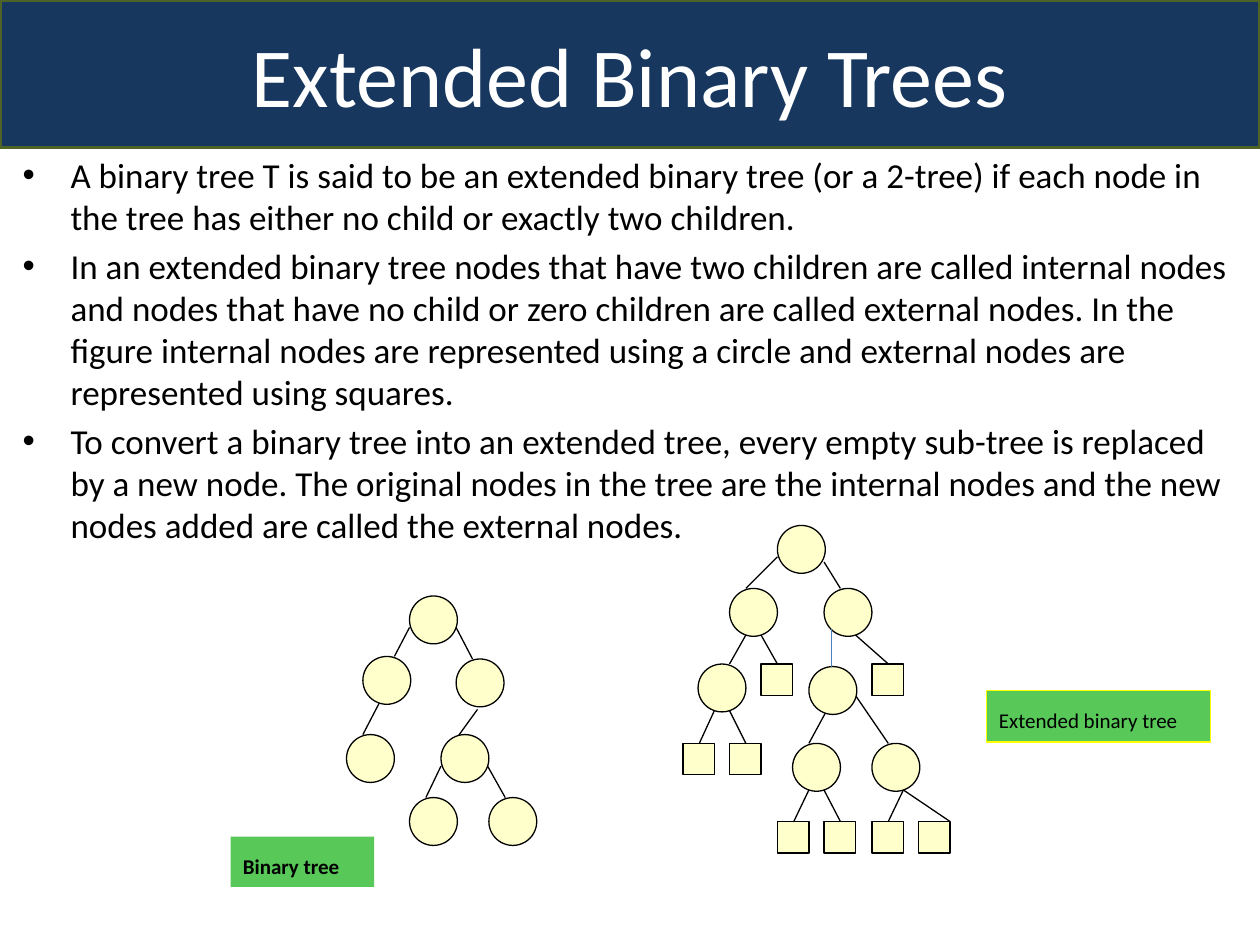
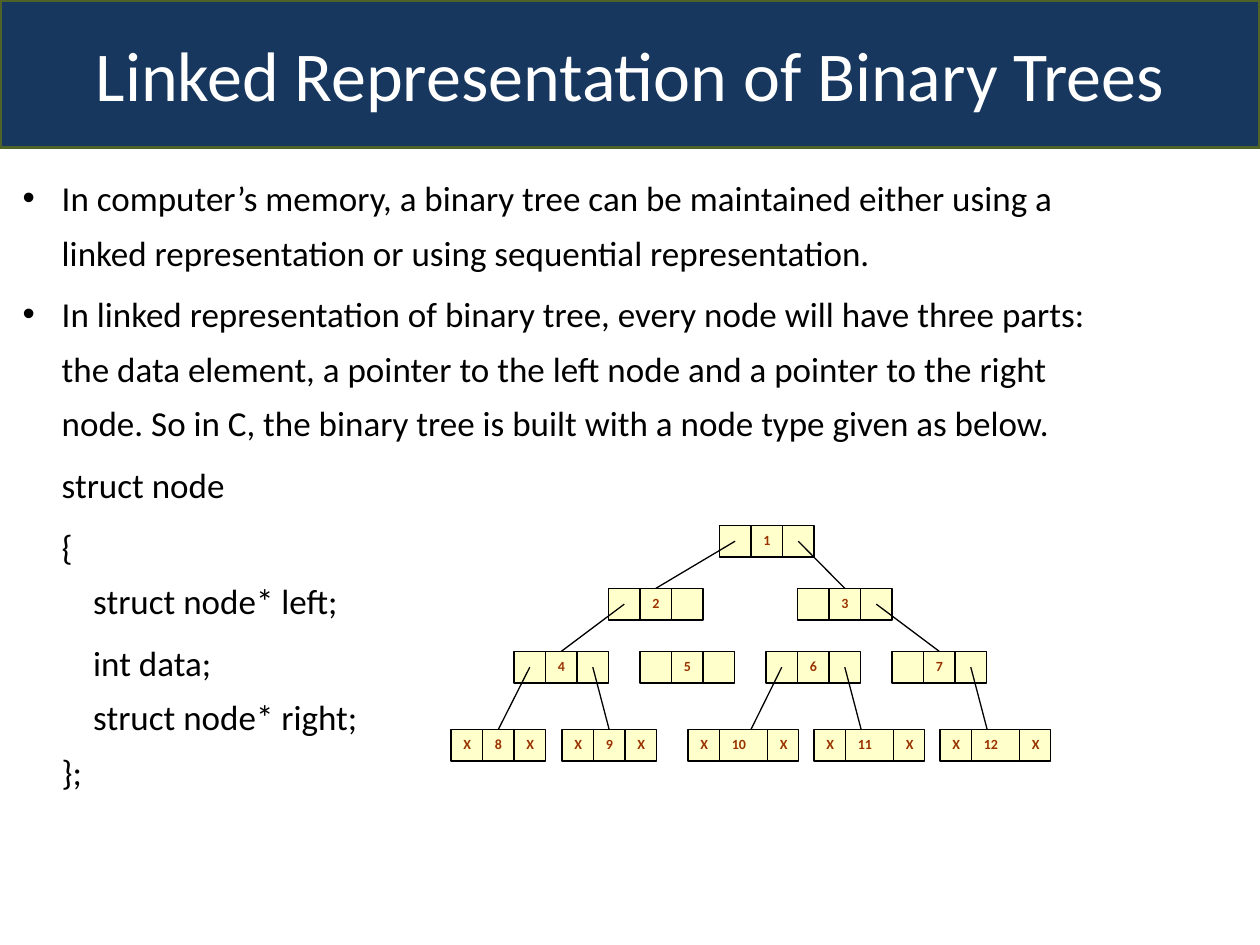
from dataclasses import dataclass
from lxml import etree
from pptx import Presentation
from pptx.dml.color import RGBColor
from pptx.enum.shapes import MSO_CONNECTOR, MSO_SHAPE
from pptx.enum.text import MSO_ANCHOR, MSO_AUTO_SIZE, PP_ALIGN
from pptx.oxml.ns import qn
from pptx.util import Inches, Pt


@dataclass(frozen=True)
class Theme:
    font: str = "Calibri"
    band: str = "17375E"
    band_line: str = "4F6228"
    white: str = "FFFFFF"
    ink: str = "000000"
    node: str = "FFFFCC"
    value: str = "993300"
    label: str = "58C858"
    label_line: str = "FFFF00"
    accent_line: str = "4B7EBC"
    body_size: float = 20
    label_size: float = 12
    label_end_size: float = 18
    cell_size: float = 8
    thin: float = 0.75
    band_width: float = 2


THEME = Theme()

EXTENDED_TEXT = [
    "A binary tree T is said to be an extended binary tree (or a 2-tree) if each node in the tree "
    "has either no child or exactly two children.",
    "In an extended binary tree nodes that have two children are called internal nodes and nodes "
    "that have no child or zero children are called external nodes. In the figure internal nodes "
    "are represented using a circle and external nodes are represented using squares.",
    "To convert a binary tree into an extended tree, every empty sub-tree is replaced by a new "
    "node. The original nodes in the tree are the internal nodes and the new nodes added are "
    "called the external nodes.",
]
LINKED_TEXT = [
    "In computer’s memory, a binary tree can be maintained either using a linked representation "
    "or using sequential representation.",
    "In linked representation of binary tree, every node will have three parts: the data element, "
    "a pointer to the left node and a pointer to the right node. So in C, the binary tree is "
    "built with a node type given as below.",
]
STRUCT_CODE = [
    ("struct node", 0, True),
    ("{", 0, True),
    ("struct node* left;", 1, False),
    ("int data;", 1, True),
    ("struct node* right;", 1, False),
    ("};", 0, False),
]

CIRCLE, SQUARE, CELL = 0.38, 0.25, 0.25
LEFT, RIGHT = (0, 0.25), (0.37, 0.25)
LOW_LEFT, LOW_RIGHT = (0.13, 0.37), (0.25, 0.37)
TOP, TOP_RIGHT = (0.13, 0), (0.25, 0)

BINARY_TREE = {
    "circles": {"A": (3.25, 4.73), "B": (2.88, 5.21), "C": (3.62, 5.23), "D": (2.75, 5.83),
                "E": (3.5, 5.83), "F": (3.25, 6.33), "G": (3.88, 6.33)},
    "squares": {},
    "edges": [("A", LEFT, "B", TOP_RIGHT), ("A", RIGHT, "C", TOP), ("B", LOW_LEFT, "D", TOP),
              ("C", (0.17, 0.4), "E", (0.08, 0.09)), ("E", LEFT, "F", TOP),
              ("E", RIGHT, "G", TOP)],
}
EXTENDED_TREE = {
    "circles": {"A": (6.17, 4.17), "B": (5.79, 4.67), "C": (6.54, 4.67), "D": (5.54, 5.27),
                "E": (6.42, 5.29), "F": (6.29, 5.9), "G": (6.92, 5.9)},
    "squares": {"b": (6.04, 5.27), "c": (6.92, 5.27), "d1": (5.42, 5.9), "d2": (5.79, 5.9),
                "f1": (6.17, 6.52), "f2": (6.54, 6.52), "g1": (6.92, 6.52), "g2": (7.29, 6.52)},
    "edges": [("A", LEFT, "B", TOP), ("A", (0.37, 0.29), "C", TOP),
              ("B", LOW_LEFT, "D", TOP_RIGHT), ("B", LOW_RIGHT, "b", TOP),
              ("C", LOW_RIGHT, "c", TOP), ("D", LOW_LEFT, "d1", TOP),
              ("D", LOW_RIGHT, "d2", TOP), ("E", LOW_LEFT, "F", TOP),
              ("E", (0.37, 0.23), "G", TOP), ("F", LOW_LEFT, "f1", TOP),
              ("F", LOW_RIGHT, "f2", TOP), ("G", LOW_RIGHT, "g1", TOP),
              ("G", LOW_RIGHT, "g2", TOP_RIGHT)],
}
ACCENT_EDGE = ((6.6, 4.99), (6.6, 5.29))
LABELS = [
    ("Binary tree", (1.83, 6.64, 1.14, 0.4), True, None),
    ("Extended binary tree", (7.83, 5.48, 1.78, 0.41), False, THEME.label_line),
]

RECORD_ROWS = [
    (4.17, "", {1: 5.71}),
    (4.67, "", {2: 4.83, 3: 6.33}),
    (5.17, "", {4: 4.08, 5: 5.08, 6: 6.08, 7: 7.08}),
    (5.79, "X", {8: 3.58, 9: 4.46, 10: 5.46, 11: 6.46, 12: 7.46}),
]
POINTERS = [(1, "left", 2), (1, "right", 3), (2, "left", 4), (3, "right", 7), (4, "left", 8),
            (4, "right", 9), (6, "left", 10), (6, "right", 11), (7, "right", 12)]
RECORD_ENTRY = {10: 0.5}


def color(hex_value):
    return RGBColor.from_string(hex_value)


def style_run(run, size, hex_value, bold=False):
    run.font.name = THEME.font
    run.font.size = Pt(size)
    run.font.bold = bold
    run.font.color.rgb = color(hex_value)


def paint(shape, fill, line, width=THEME.thin):
    shape.fill.solid()
    shape.fill.fore_color.rgb = color(fill)
    if line:
        shape.line.color.rgb = color(line)
        shape.line.width = Pt(width)
    else:
        shape.line.fill.background()


def place(shape, left, top, width, height):
    shape.left, shape.top = Inches(left), Inches(top)
    shape.width, shape.height = Inches(width), Inches(height)


def add_box(shapes, kind, box, fill=THEME.node, line=THEME.ink):
    shape = shapes.add_shape(kind, *map(Inches, box))
    shape.shadow.inherit = False
    paint(shape, fill, line)
    return shape


def add_line(shapes, start, end, hex_value=THEME.ink):
    line = shapes.add_connector(MSO_CONNECTOR.STRAIGHT, *map(Inches, start + end))
    line.line.color.rgb = color(hex_value)
    line.line.width = Pt(THEME.thin)
    etree.SubElement(line._element.spPr, qn("a:effectLst"))


def add_slide(prs, title, title_size, body_box):
    slide = prs.slides.add_slide(prs.slide_layouts[1])
    band, body = slide.placeholders
    place(band, 0, 0, 10, 1.17)
    paint(band, THEME.band, THEME.band_line, THEME.band_width)
    band.text_frame.text = title
    band.text_frame.auto_size = MSO_AUTO_SIZE.NONE
    band.text_frame.vertical_anchor = MSO_ANCHOR.MIDDLE
    style_run(band.text_frame.paragraphs[0].runs[0], title_size, THEME.white)
    place(body, *body_box)
    body.text_frame.auto_size = MSO_AUTO_SIZE.NONE
    return slide, body.text_frame


def fill_body(frame, lines):
    frame.text = "\n".join(lines)
    for paragraph in frame.paragraphs:
        style_run(paragraph.runs[0], THEME.body_size, THEME.ink)
    return frame.paragraphs


def set_indent(paragraph, margin, first_line, bullet=True):
    props = paragraph._p.get_or_add_pPr()
    props.set("marL", str(Inches(margin)))
    props.set("indent", str(Inches(first_line)))
    if not bullet:
        etree.SubElement(props, qn("a:buNone"))


def shift(point, offset):
    return point[0] + offset[0], point[1] + offset[1]


def draw_tree(slide, tree):
    shapes = slide.shapes.add_group_shape().shapes
    spots = {**tree["circles"], **tree["squares"]}
    for parent, port, child, entry in tree["edges"]:
        add_line(shapes, shift(spots[parent], port), shift(spots[child], entry))
    for name, spot in spots.items():
        round_node = name in tree["circles"]
        kind = MSO_SHAPE.OVAL if round_node else MSO_SHAPE.RECTANGLE
        size = CIRCLE if round_node else SQUARE
        add_box(shapes, kind, (*spot, size, size))


def draw_label(slide, text, box, bold, line):
    label = add_box(slide.shapes, MSO_SHAPE.RECTANGLE, box, THEME.label, line)
    frame = label.text_frame
    frame.word_wrap = False
    frame.auto_size = MSO_AUTO_SIZE.SHAPE_TO_FIT_TEXT
    frame.vertical_anchor = MSO_ANCHOR.MIDDLE
    paragraph = frame.paragraphs[0]
    paragraph.alignment = PP_ALIGN.LEFT
    for part, size in ((text, THEME.label_size), (" ", THEME.label_end_size)):
        run = paragraph.add_run()
        run.text = part
        style_run(run, size, THEME.ink, bold and part == text)


def draw_record(shapes, left, top, value, end_mark):
    value_width = CELL if value < 10 else 0.38
    for text, width in ((end_mark, CELL), (str(value), value_width), (end_mark, CELL)):
        cell = add_box(shapes, MSO_SHAPE.RECTANGLE, (left, top, width, CELL))
        if text:
            frame = cell.text_frame
            frame.text = text
            frame.word_wrap = True
            frame.vertical_anchor = MSO_ANCHOR.TOP
            frame.paragraphs[0].alignment = PP_ALIGN.LEFT
            style_run(frame.paragraphs[0].runs[0], THEME.cell_size, THEME.value, True)
        left += width


def draw_linked_tree(slide):
    shapes = slide.shapes.add_group_shape().shapes
    spots = {}
    for top, end_mark, records in RECORD_ROWS:
        for value, left in records.items():
            spots[value] = (left, top)
            draw_record(shapes, left, top, value, end_mark)
    for parent, side, child in POINTERS:
        cell_index = 0 if side == "left" else 2
        start = shift(spots[parent], ((cell_index + 0.5) * CELL, CELL / 2))
        entry = RECORD_ENTRY.get(child, 1.5 * CELL)
        add_line(shapes, start, shift(spots[child], (entry, 0)))


def build_extended(prs):
    slide, body = add_slide(prs, "Extended Binary Trees", 48, (0.08, 1.17, 9.83, 3.33))
    for paragraph in fill_body(body, EXTENDED_TEXT):
        set_indent(paragraph, 0.38, -0.38)
    draw_tree(slide, BINARY_TREE)
    draw_tree(slide, EXTENDED_TREE)
    for label in LABELS:
        draw_label(slide, *label)
    add_line(slide.shapes, *ACCENT_EDGE, THEME.accent_line)


def build_linked(prs):
    slide, body = add_slide(prs, "Linked Representation of Binary Trees", 40,
                            (0.08, 1.25, 8.67, 3.5))
    paragraphs = fill_body(body, LINKED_TEXT + [text for text, _, _ in STRUCT_CODE])
    for paragraph in paragraphs:
        paragraph.line_spacing = 1.3
    for paragraph in paragraphs[:len(LINKED_TEXT)]:
        set_indent(paragraph, 0.31, -0.31)
    for paragraph, (_, depth, gap) in zip(paragraphs[len(LINKED_TEXT):], STRUCT_CODE):
        if not gap:
            paragraph.space_before = Pt(0)
        set_indent(paragraph, 0.31 + 0.25 * depth, 0, bullet=False)
    draw_linked_tree(slide)


prs = Presentation()
prs.slide_width, prs.slide_height = Inches(10), Inches(7.5)
build_extended(prs)
build_linked(prs)
prs.save("out.pptx")
